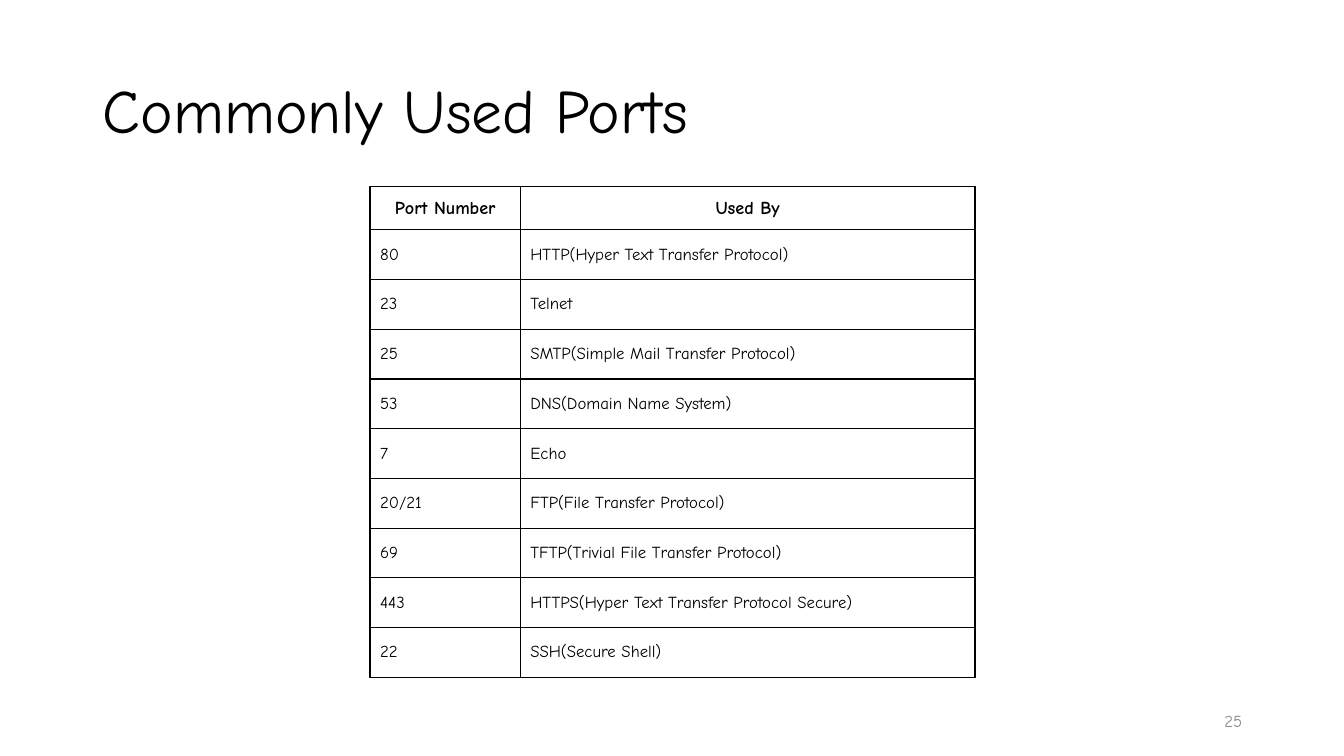
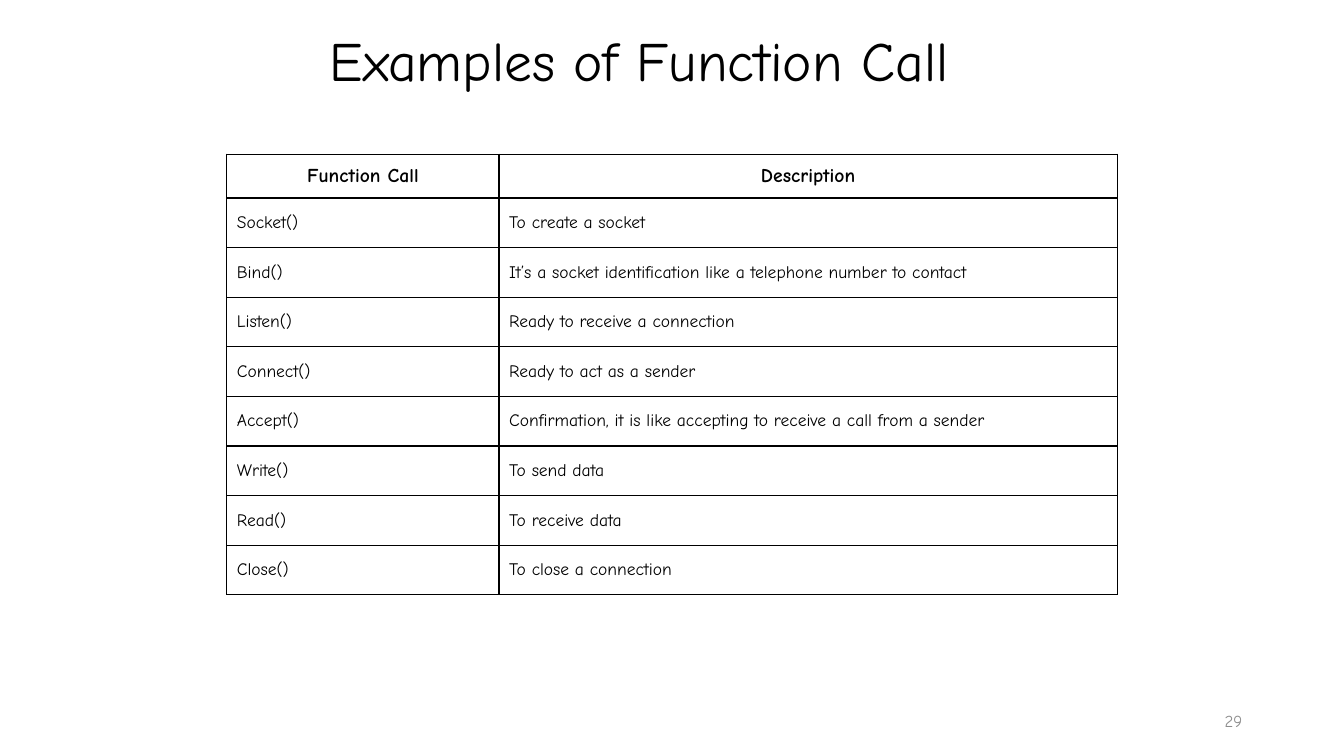
import pptx
import pptx.dml.color
import pptx.enum.text
import pptx.oxml
import pptx.oxml.ns
import pptx.util

Inches = pptx.util.Inches
Pt = pptx.util.Pt
RGBColor = pptx.dml.color.RGBColor
ALIGN = pptx.enum.text.PP_ALIGN
MIDDLE = pptx.enum.text.MSO_ANCHOR.MIDDLE

BLACK = RGBColor(0x00, 0x00, 0x00)
GREY = RGBColor(0x8C, 0x8C, 0x8C)
FONT = "Comic Neue"
TITLE_ONLY_LAYOUT = 5
HEADER_HEIGHT = 0.43

PORTS = [
    ("Port Number", "Used By"),
    ("80", "HTTP(Hyper Text Transfer Protocol)"),
    ("23", "Telnet"),
    ("25", "SMTP(Simple Mail Transfer Protocol)"),
    ("53", "DNS(Domain Name System)"),
    ("7", "Echo"),
    ("20/21", "FTP(File Transfer Protocol)"),
    ("69", "TFTP(Trivial File Transfer Protocol)"),
    ("443", "HTTPS(Hyper Text Transfer Protocol Secure)"),
    ("22", "SSH(Secure Shell)"),
]
FUNCTION_CALLS = [
    ("Function Call", "Description"),
    ("Socket()", "To create a socket"),
    ("Bind()", "It’s a socket identification like a telephone number to contact"),
    ("Listen()", "Ready to receive a connection"),
    ("Connect()", "Ready to act as a sender"),
    ("Accept()", "Confirmation, it is like accepting to receive a call from a sender"),
    ("Write()", "To send data"),
    ("Read()", "To receive data"),
    ("Close()", "To close a connection"),
]


class Deck:
    """Holds the shared style and the slide being built."""

    def __init__(self):
        self.presentation = pptx.Presentation()
        self.presentation.slide_width = Inches(13.33)
        self.presentation.slide_height = Inches(7.5)
        self.slide = None

    def add_slide(self, title, box, title_size, number):
        layout = self.presentation.slide_layouts[TITLE_ONLY_LAYOUT]
        self.slide = self.presentation.slides.add_slide(layout)
        self.add_title(title, box, title_size)
        self.add_number(number)

    def set_text(self, text_frame, text, size, color=BLACK, align=ALIGN.LEFT, bold=False):
        text_frame.text = text
        text_frame.word_wrap = True
        paragraph = text_frame.paragraphs[0]
        paragraph.alignment = align
        font = paragraph.runs[0].font
        font.name = FONT
        font.size = Pt(size)
        font.bold = bold
        font.color.rgb = color

    def add_title(self, text, box, size):
        title = self.slide.shapes.title
        title.left, title.top, title.width, title.height = map(Inches, box)
        text_frame = title.text_frame
        self.set_text(text_frame, text, size)
        text_frame.auto_size = pptx.enum.text.MSO_AUTO_SIZE.NONE
        text_frame.vertical_anchor = MIDDLE
        text_frame.paragraphs[0].line_spacing = 0.9

    def add_number(self, number):
        box = self.slide.shapes.add_textbox(
            Inches(9.42), Inches(6.95), Inches(3), Inches(0.4))
        self.set_text(box.text_frame, str(number), 12, GREY, ALIGN.RIGHT)
        box.text_frame.vertical_anchor = MIDDLE

    def add_table(self, rows, left, top, column_widths, height, header_size, body_size):
        table = self.slide.shapes.add_table(
            len(rows), len(column_widths), Inches(left), Inches(top),
            Inches(sum(column_widths)), Inches(height)).table
        table.first_row = True
        table.horz_banding = False
        for column, width in zip(table.columns, column_widths):
            column.width = Inches(width)
        body_height = (height - HEADER_HEIGHT) / (len(rows) - 1)
        for row_index, values in enumerate(rows):
            header = row_index == 0
            table.rows[row_index].height = Inches(HEADER_HEIGHT if header else body_height)
            for column_index, value in enumerate(values):
                cell = table.cell(row_index, column_index)
                side = 0.04 if header and column_index == 0 else 0.1
                cell.margin_left = cell.margin_right = Inches(side)
                cell.margin_top = cell.margin_bottom = Inches(0.1 if header else 0.14)
                cell.vertical_anchor = MIDDLE
                self.set_text(cell.text_frame, value, header_size if header else body_size,
                              align=ALIGN.CENTER if header else ALIGN.LEFT, bold=header)
                cell.fill.background()
                self.add_borders(cell)

    def add_borders(self, cell):
        properties = cell._tc.get_or_add_tcPr()
        for index, side in enumerate(("lnL", "lnR", "lnT", "lnB")):
            properties.insert(index, pptx.oxml.parse_xml(
                f'<a:{side} {pptx.oxml.ns.nsdecls("a")} w="{Pt(1)}"><a:solidFill>'
                f'<a:srgbClr val="{BLACK}"/></a:solidFill></a:{side}>'))


def main():
    deck = Deck()
    deck.add_slide("Commonly Used Ports", (0.92, 0.4, 11.5, 1.45), 44, 25)
    deck.add_table(PORTS, 3.67, 1.85, (1.49, 4.51), 4.87, 13, 12)
    deck.add_slide("Examples of Function Call", (3.17, 0.13, 7, 1.01), 39.6, 29)
    deck.add_table(FUNCTION_CALLS, 2.25, 1.53, (2.7, 6.13), 4.37, 14, 12.5)
    deck.presentation.save("out.pptx")


if __name__ == "__main__":
    main()
